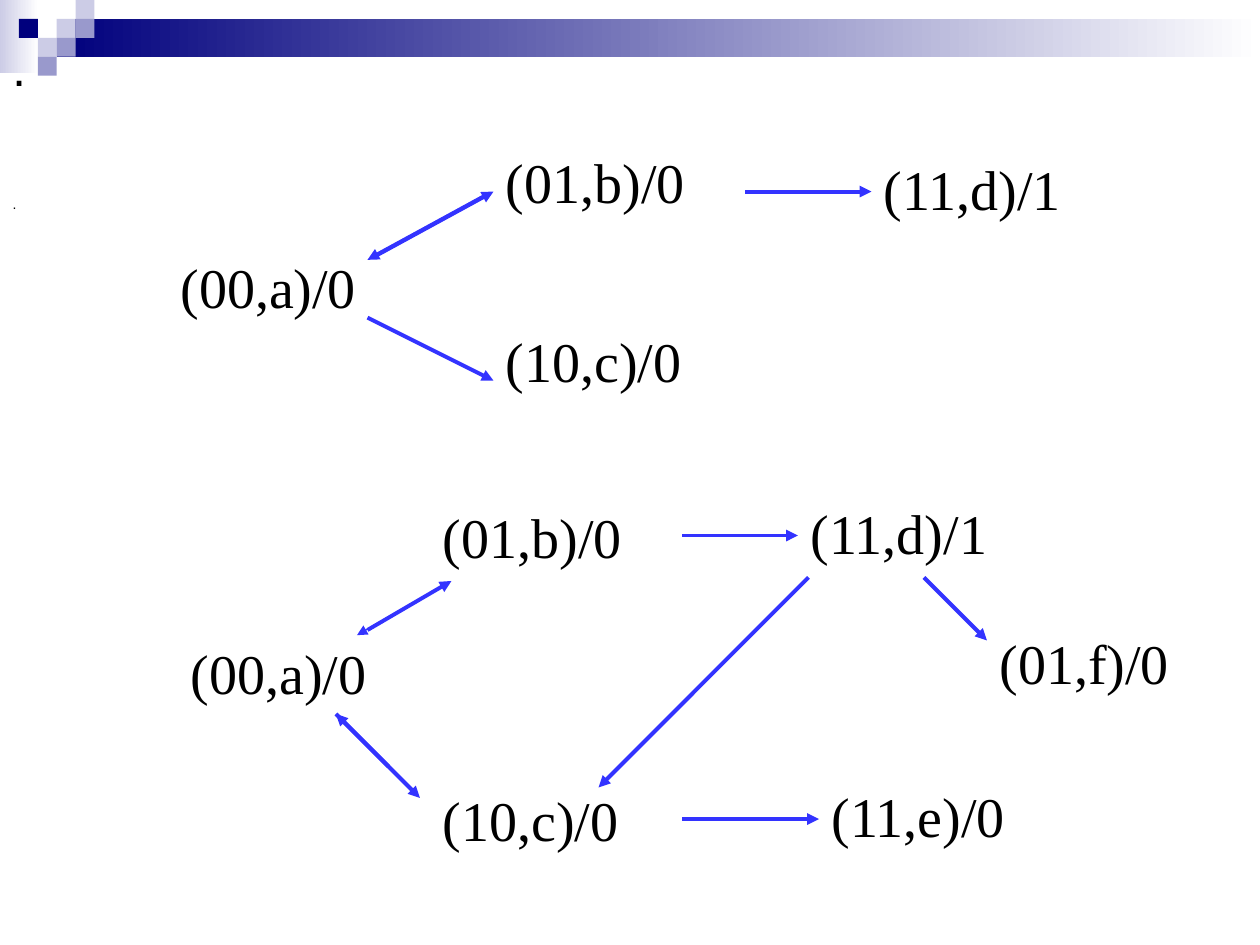
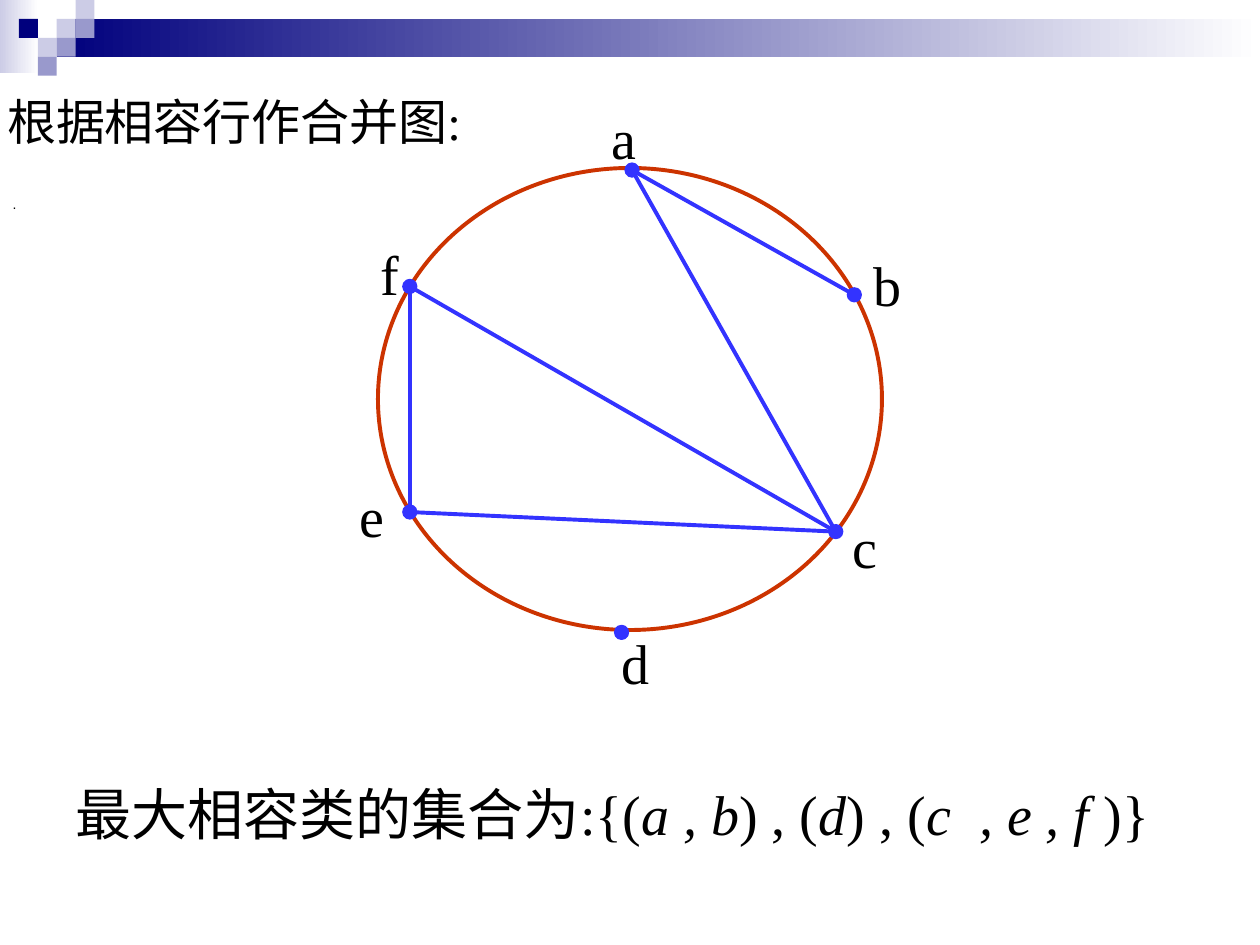
"""Build two slides on state transition graphs and the merger graph."""
from itertools import chain

from lxml import etree
from pptx import Presentation
from pptx.dml.color import RGBColor
from pptx.enum.shapes import MSO_CONNECTOR, MSO_SHAPE
from pptx.enum.text import MSO_ANCHOR, MSO_AUTO_SIZE, PP_ALIGN
from pptx.oxml.ns import qn
from pptx.util import Pt

RECTANGLE, OVAL = MSO_SHAPE.RECTANGLE, MSO_SHAPE.OVAL
STRAIGHT = MSO_CONNECTOR.STRAIGHT
LEFT = PP_ALIGN.LEFT
TOP, MIDDLE = MSO_ANCHOR.TOP, MSO_ANCHOR.MIDDLE
FIXED, GROW = MSO_AUTO_SIZE.NONE, MSO_AUTO_SIZE.SHAPE_TO_FIT_TEXT

WHITE = RGBColor(0xFF, 0xFF, 0xFF)
BLACK = RGBColor(0x00, 0x00, 0x00)
NAVY = RGBColor(0x00, 0x00, 0x7D)
LILAC = RGBColor(0xCC, 0xCC, 0xE6)
VIOLET = RGBColor(0x99, 0x99, 0xCC)
BLUE = RGBColor(0x33, 0x33, 0xFF)
RUST = RGBColor(0xCC, 0x33, 0x00)

SANS, SERIF = "Arial", "Times New Roman"
CELL = 10.8
MOSAIC = [(3, 1, LILAC), (4, 0, LILAC), (4, 1, VIOLET), (2, 2, LILAC),
          (1, 1, NAVY), (3, 2, VIOLET), (2, 3, VIOLET)]

UPPER_STATES = [("(01,b)/0", 282, 81), ("(00,a)/0", 96, 141),
                ("(10,c)/0", 282, 183), ("(11,d)/1", 498, 85)]
UPPER_ARROWS = [(216, 145.5, 282, 109.5), (276, 112.5, 210, 148.5),
                (210, 181.5, 282, 217.5), (426, 109.5, 498, 109.5)]
LOWER_STATES = [("(01,b)/0", 246, 283.5), ("(00,a)/0", 102, 361.5),
                ("(10,c)/0", 246, 445.5), ("(11,d)/1", 456, 281.5),
                ("(01,f)/0", 564, 355.5), ("(11,e)/0", 468, 443)]
LOWER_ARROWS = [(210, 360, 258, 332), (390, 306, 456, 306),
                (528, 330, 564, 366), (462, 330, 342, 450),
                (390, 468, 468, 468), (192, 408, 240, 456),
                (222, 438, 192, 408)]
THIN_ARROW = (240, 342, 204, 363)
STATE_WIDTH = 117

VERTICES = {"a": (361.2, 97.2), "b": (488.2, 168.5), "c": (477.6, 303.8),
            "d": (355.2, 361.4), "e": (234.2, 292.6), "f": (234.2, 163.7)}
EDGES = ["ab", "ac", "cf", "fe", "ec"]
VERTEX_LABELS = [("a", 342.4, 55.5, 29), ("b", 492.2, 139.7, 30.5),
                 ("c", 480, 289.5, 29), ("d", 348.2, 355.7, 30.5),
                 ("e", 198.3, 271.5, 29), ("f", 210.4, 133.3, 25.2)]
DOT = 7.2
COMPATIBLES = [("最大相容类的集合为:{(", False), ("a , b", True), (") , (", False),
               ("d", True), (") , (", False), ("c  , e , f ", True),
               (")}", False)]


def add_span(para, text, size=32, font=SERIF, italic=False):
    span = para.add_run()
    span.text = text
    span.font.size = Pt(size)
    span.font.name = font
    span.font.italic = italic
    span.font.color.rgb = BLACK


class Painter:
    def __init__(self, deck):
        self.deck = deck
        self.page = None

    def start_page(self):
        self.page = self.deck.slides.add_slide(self.deck.slide_layouts[5])
        self.gradient_band(0, 0, 22, 42, LILAC)
        self.gradient_band(3 * CELL, CELL, 720 - 3 * CELL, 2 * CELL, NAVY)
        for column, row, colour in MOSAIC:
            self.shape(RECTANGLE, column * CELL, row * CELL, CELL, CELL, fill=colour)
        self.title(".")

    def title(self, text):
        box = self.page.shapes.title
        box.left, box.top, box.width, box.height = Pt(0), Pt(108), Pt(612), Pt(16.5)
        self.fill_frame(box.text_frame, [(text, False)], anchor=MIDDLE, size=8, font=SANS)

    def fill_frame(self, frame, spans, anchor=TOP, wrap=True, grow=FIXED, **style):
        frame.word_wrap = wrap
        frame.auto_size = grow
        frame.vertical_anchor = anchor
        para = frame.paragraphs[0]
        para.alignment = LEFT
        for text, italic in spans:
            add_span(para, text, italic=italic, **style)

    def text(self, spans, left, top, width, height, **style):
        box = self.page.shapes.add_textbox(Pt(left), Pt(top), Pt(width), Pt(height))
        self.fill_frame(box.text_frame, spans, **style)

    def label(self, text, left, top, width, height=46, size=32):
        self.text([(text, False)], left, top, width, height,
                  wrap=False, grow=GROW, size=size)

    def shape(self, kind, left, top, width, height, fill=None, line=None, weight=2.25):
        shape = self.page.shapes.add_shape(kind, Pt(left), Pt(top), Pt(width), Pt(height))
        shape.shadow.inherit = False
        if fill is None:
            shape.fill.background()
        else:
            shape.fill.solid()
            shape.fill.fore_color.rgb = fill
        if line is None:
            shape.line.fill.background()
        else:
            shape.line.color.rgb = line
            shape.line.width = Pt(weight)
        return shape

    def gradient_band(self, left, top, width, height, colour):
        band = self.shape(RECTANGLE, left, top, width, height)
        band.fill.gradient()
        band.fill.gradient_angle = 0
        for stop, shade in zip(band.fill.gradient_stops, (colour, WHITE)):
            stop.color.rgb = shade

    def line(self, x1, y1, x2, y2, weight=2.25, arrow=False):
        line = self.page.shapes.add_connector(STRAIGHT, Pt(x1), Pt(y1), Pt(x2), Pt(y2))
        line.line.color.rgb = BLUE
        line.line.width = Pt(weight)
        properties = line.element.spPr
        if arrow:
            etree.SubElement(properties.find(qn("a:ln")), qn("a:tailEnd"), type="triangle")
        etree.SubElement(properties, qn("a:effectLst"))


def build_transition_graphs(painter):
    painter.start_page()
    painter.text([(".", False)], 0, 18, 702, 522, size=28, font=SANS)
    for text, left, top in chain(UPPER_STATES, LOWER_STATES):
        painter.label(text, left, top, STATE_WIDTH)
    for ends in chain(UPPER_ARROWS, LOWER_ARROWS):
        painter.line(*ends, arrow=True)
    painter.line(*THIN_ARROW, weight=0.75, arrow=True)


def build_merger_graph(painter):
    painter.start_page()
    painter.text(COMPATIBLES, 36, 442, 666, 52)
    painter.shape(OVAL, 216, 96, 288, 264, line=RUST)
    for start, end in EDGES:
        painter.line(*VERTICES[start], *VERTICES[end])
    for label in VERTEX_LABELS:
        painter.label(*label)
    for x, y in VERTICES.values():
        painter.shape(OVAL, x - DOT / 2, y - DOT / 2, DOT, DOT,
                      fill=BLUE, line=BLUE, weight=1.5)
    painter.label("根据相容行作合并图:", -3, 49, 280, height=75, size=28)


def main():
    deck = Presentation()
    deck.slide_width, deck.slide_height = Pt(720), Pt(540)
    painter = Painter(deck)
    build_transition_graphs(painter)
    build_merger_graph(painter)
    deck.save("out.pptx")


if __name__ == "__main__":
    main()
